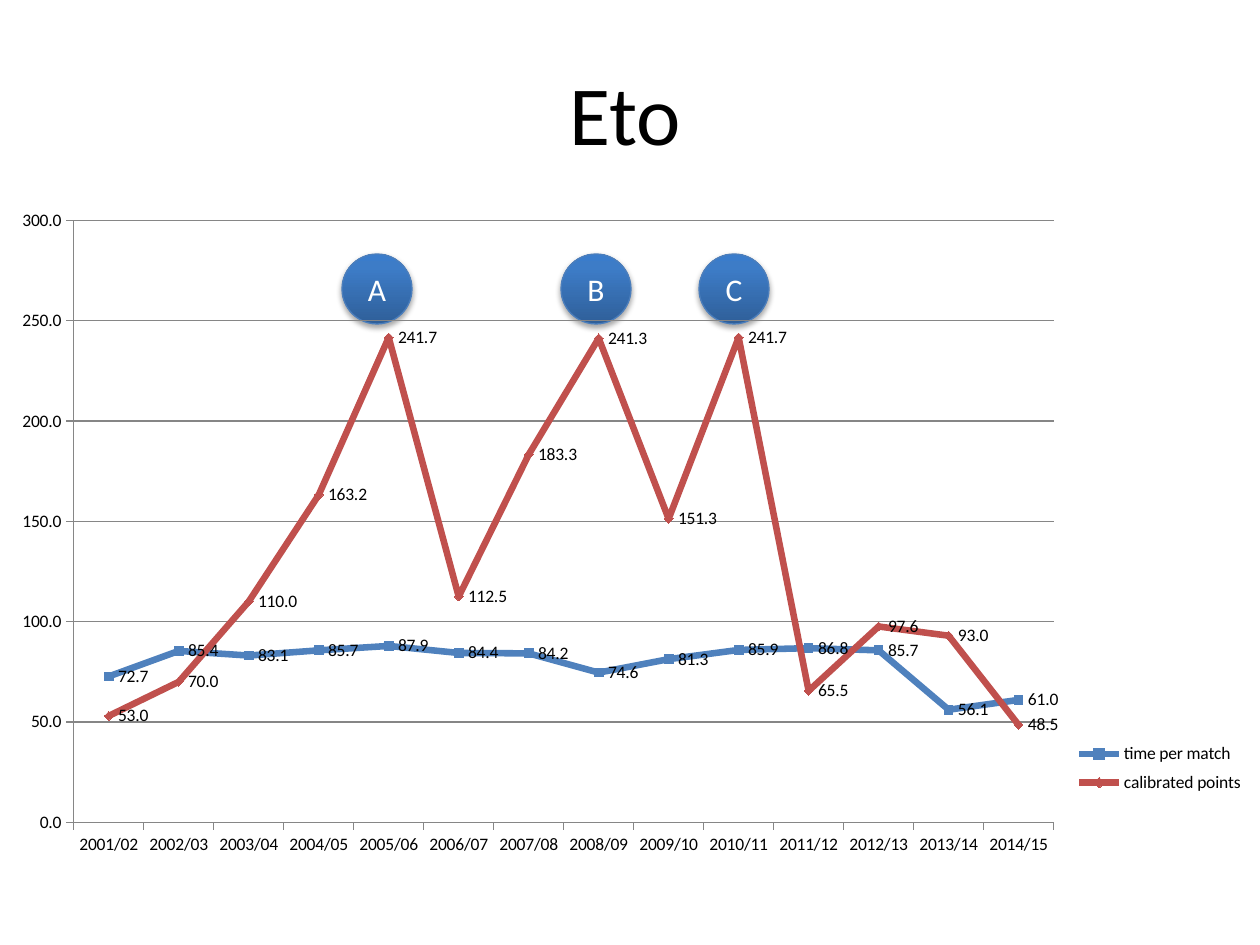
"""Build the Eto slide: a line chart of match time and calibrated points with three markers."""
from lxml import etree
from pptx import Presentation
from pptx.chart.data import CategoryChartData
from pptx.dml.color import RGBColor
from pptx.enum.chart import XL_CHART_TYPE as ChartType, XL_LABEL_POSITION as LabelPosition
from pptx.enum.chart import XL_LEGEND_POSITION as LegendPosition, XL_MARKER_STYLE as Marker
from pptx.enum.chart import XL_TICK_MARK as Tick
from pptx.enum.shapes import MSO_SHAPE as Shape
from pptx.enum.text import MSO_ANCHOR as Anchor, PP_ALIGN as Align
from pptx.oxml import parse_xml
from pptx.util import Emu, Pt

PIXEL = 914400 // 126
DRAWING = "http://schemas.openxmlformats.org/drawingml/2006/main"
CHART = "http://schemas.openxmlformats.org/drawingml/2006/chart"


def color(value):
    return RGBColor.from_string(value)


def write(shape, text, size=18, fill="000000", anchor=Anchor.TOP, wrap=True):
    frame = shape.text_frame
    frame.word_wrap = wrap
    frame.vertical_anchor = anchor
    para = frame.paragraphs[0]
    para.alignment = Align.CENTER
    span = para.add_run()
    span.text = text
    span.font.name = "Calibri"
    span.font.size = Pt(size)
    span.font.color.rgb = color(fill)


deck = Presentation()
deck.slide_width, deck.slide_height = Emu(1260 * PIXEL), Emu(945 * PIXEL)
page = deck.slides.add_slide(deck.slide_layouts[5])

title = page.shapes.title
title.left, title.top, title.width, title.height = [Emu(n * PIXEL) for n in (549, 55, 152, 217)]
write(title, "Eto", size=48, wrap=False)

stops = "".join(
    f'<a:gs pos="{position * 1000}"><a:srgbClr val="{tone}"/></a:gs>'
    for position, tone in [(0, "2F5F99"), (80, "3D7CC7"), (100, "3A7CCB")]
)
for letter, left in [("C", 699), ("A", 342), ("B", 561)]:
    circle = page.shapes.add_shape(Shape.OVAL, *[Emu(n * PIXEL) for n in (left, 254, 70, 70)])
    circle.line.color.rgb = color("4B7EBC")
    circle.line.width = Pt(0.75)
    circle.shadow.inherit = False
    properties = circle.element.spPr
    properties.find(f"{{{DRAWING}}}prstGeom").addnext(parse_xml(
        f'<a:gradFill xmlns:a="{DRAWING}" rotWithShape="1"><a:gsLst>{stops}</a:gsLst>'
        '<a:lin ang="16200000" scaled="0"/></a:gradFill>'))
    properties.find(f"{{{DRAWING}}}effectLst").append(parse_xml(
        f'<a:outerShdw xmlns:a="{DRAWING}" blurRad="40000" dist="23000" dir="5400000" rotWithShape="0">'
        '<a:srgbClr val="000000"><a:alpha val="35000"/></a:srgbClr></a:outerShdw>'))
    write(circle, letter, fill="FFFFFF", anchor=Anchor.MIDDLE)

data = CategoryChartData(number_format="0.0")
data.categories = [f"{year}/{year % 100 + 1:02d}" for year in range(2001, 2015)]
data.add_series("time per match", [72.7, 85.4, 83.1, 85.7, 87.9, 84.4, 84.2,
                                   74.6, 81.3, 85.9, 86.8, 85.7, 56.1, 61])
data.add_series("calibrated points", [53, 70, 110, 163.2, 241.7, 112.5, 183.3,
                                      241.3, 151.3, 241.7, 65.5, 97.6, 93, 48.5])
chart = page.shapes.add_chart(
    ChartType.LINE_MARKERS, *[Emu(n * PIXEL) for n in (10, 210, 1250, 665)], data).chart
chart.has_title = False
chart.font.name = "Calibri"
chart.font.size = Pt(10)
chart.font.color.rgb = color("000000")
chart.has_legend = True
chart.legend.position = LegendPosition.RIGHT
chart.legend.include_in_layout = False

values = chart.value_axis
values.minimum_scale, values.maximum_scale, values.major_unit = 0, 300, 50
values.has_major_gridlines = True
values.tick_labels.number_format = "0.0"
values.tick_labels.number_format_is_linked = False
for axis in (values, chart.category_axis):
    axis.major_tick_mark = Tick.OUTSIDE
    axis.minor_tick_mark = Tick.NONE
for rule in (values.format.line, chart.category_axis.format.line, values.major_gridlines.format.line):
    rule.color.rgb = color("868686")
    rule.width = Pt(0.75)

styles = [("4F81BD", "4A7EBB", Marker.SQUARE), ("C0504D", "BE4B48", Marker.DIAMOND)]
for series, (fill, stroke, symbol) in zip(chart.plots[0].series, styles):
    series.smooth = False
    series.format.line.color.rgb = color(fill)
    series.format.line.width = Pt(3.75)
    series.marker.style = symbol
    series.marker.size = 5
    series.marker.format.fill.solid()
    series.marker.format.fill.fore_color.rgb = color(fill)
    series.marker.format.line.color.rgb = color(stroke)
    labels = series.data_labels
    labels.show_value = True
    labels.number_format = "0.0"
    labels.number_format_is_linked = False
    labels.position = LabelPosition.RIGHT

space = chart.element
space.find(f"{{{CHART}}}chart").addnext(parse_xml(
    f'<c:spPr xmlns:c="{CHART}" xmlns:a="{DRAWING}"><a:noFill/><a:ln><a:noFill/></a:ln></c:spPr>'))

plot_area = space.find(f".//{{{CHART}}}plotArea")
legend_position = space.find(f".//{{{CHART}}}legendPos")
for parent in (plot_area, legend_position.getparent()):
    for old in parent.findall(f"{{{CHART}}}layout"):
        parent.remove(old)
plot_layout, legend_layout = [etree.Element(f"{{{CHART}}}layout") for _ in range(2)]
plot_area.insert(0, plot_layout)
legend_position.addnext(legend_layout)
for layout, settings in [
    (plot_layout, dict(layoutTarget="inner", xMode="edge", yMode="edge", x=0.051, y=0.016, w=0.784, h=0.905)),
    (legend_layout, dict(xMode="edge", yMode="edge", x=0.85, y=0.79, w=0.14, h=0.1)),
]:
    manual = etree.SubElement(layout, f"{{{CHART}}}manualLayout")
    for name, value in settings.items():
        etree.SubElement(manual, f"{{{CHART}}}{name}").set("val", str(value))

deck.save("out.pptx")
